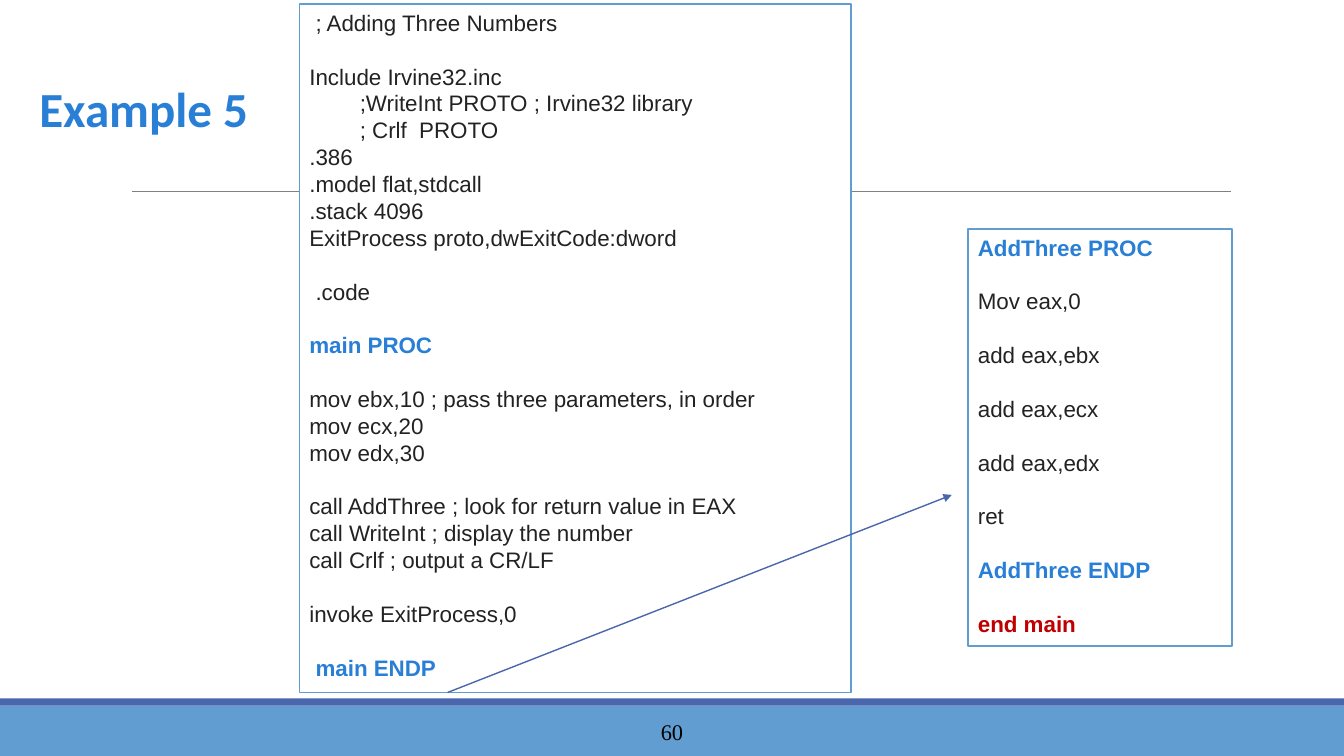
from pptx import Presentation
from pptx.dml.color import RGBColor
from pptx.enum.shapes import MSO_CONNECTOR as Link, MSO_SHAPE as Form
from pptx.enum.text import MSO_ANCHOR as Anchor, MSO_AUTO_SIZE as Fit, PP_ALIGN as Align
from pptx.oxml.ns import qn
from pptx.util import Inches, Pt
from lxml import etree

WHITE = RGBColor(0xFF, 0xFF, 0xFF)
BLACK = RGBColor(0x00, 0x00, 0x00)
INK = RGBColor(0x22, 0x22, 0x22)
BLUE = RGBColor(0x29, 0x7F, 0xD5)
SKY = RGBColor(0x62, 0x9D, 0xD1)
NAVY = RGBColor(0x4A, 0x66, 0xAC)
GRAY = RGBColor(0x80, 0x80, 0x80)
RED = RGBColor(0xC0, 0x00, 0x00)
PITCH = Pt(19.2)

# Code blocks, each a colour and its lines; one empty line parts the blocks
MAIN = [
    (INK, [" ; Adding Three Numbers"]),
    (INK, ["Include Irvine32.inc",
           "\t;WriteInt PROTO ; Irvine32 library",
           "\t; Crlf  PROTO",
           ".386",
           ".model flat,stdcall",
           ".stack 4096",
           "ExitProcess proto,dwExitCode:dword"]),
    (INK, [" .code"]),
    (BLUE, ["main PROC"]),
    (INK, ["mov ebx,10 ; pass three parameters, in order",
           "mov ecx,20",
           "mov edx,30"]),
    (INK, ["call AddThree ; look for return value in EAX",
           "call WriteInt ; display the number",
           "call Crlf ; output a CR/LF"]),
    (INK, ["invoke ExitProcess,0"]),
    (BLUE, [" main ENDP"]),
]
ADD = [
    (BLUE, ["AddThree PROC"]),
    (INK, ["Mov eax,0"]),
    (INK, ["add eax,ebx"]),
    (INK, ["add eax,ecx"]),
    (INK, ["add eax,edx"]),
    (INK, ["ret"]),
    (BLUE, ["AddThree ENDP"]),
    (RED, ["end main"]),
]


def write(par, text, size=16, font="Arial", color=INK, bold=False,
          align=Align.LEFT, pitch=None, gap=0):
    par.alignment = align
    par.space_before = gap
    if pitch:
        par.line_spacing = pitch
    run = par.add_run()
    run.text = text
    run.font.size = Pt(size)
    run.font.name = font
    run.font.bold = bold
    run.font.color.rgb = color


class Page:
    def __init__(self, deck):
        self.slide = deck.slides.add_slide(deck.slide_layouts[5])
        self.shapes = self.slide.shapes

    def title(self, text, *box, **look):
        head = self.shapes.title
        head.left, head.top, head.width, head.height = map(Inches, box)
        frame = head.text_frame
        frame.word_wrap = False
        frame.auto_size = Fit.NONE
        frame.vertical_anchor = Anchor.TOP
        write(frame.paragraphs[0], text, **look)

    def rect(self, *box, fill, edge=None):
        shape = self.shapes.add_shape(Form.RECTANGLE, *map(Inches, box))
        shape.shadow.inherit = False
        shape.fill.solid()
        shape.fill.fore_color.rgb = fill
        if edge:
            shape.line.color.rgb = edge
            shape.line.width = Pt(1.25)
        else:
            shape.line.fill.background()
        return shape

    def code(self, blocks, *box):
        frame = self.rect(*box, fill=WHITE, edge=SKY).text_frame
        frame.word_wrap = True
        frame.vertical_anchor = Anchor.TOP
        par = frame.paragraphs[0]
        for i, (color, lines) in enumerate(blocks):
            for j, line in enumerate(lines):
                if i or j:
                    par = frame.add_paragraph()
                write(par, line, color=color, bold=color != INK,
                      pitch=PITCH, gap=PITCH if i and not j else 0)

    def label(self, text, *box, **look):
        frame = self.shapes.add_textbox(*map(Inches, box)).text_frame
        frame.word_wrap = True
        frame.vertical_anchor = Anchor.MIDDLE
        write(frame.paragraphs[0], text, **look)

    def line(self, *ends, color, width, arrow=False):
        link = self.shapes.add_connector(Link.STRAIGHT, *map(Inches, ends))
        link.line.color.rgb = color
        link.line.width = Pt(width)
        if arrow:
            etree.SubElement(link.line._get_or_add_ln(), qn("a:tailEnd"), type="triangle")
        etree.SubElement(link._element.spPr, qn("a:effectLst"))


def main():
    deck = Presentation()
    deck.slide_width, deck.slide_height = Inches(13.33), Inches(7.5)
    page = Page(deck)

    # Footer bands, rule and page number
    page.rect(0, 7, 13.33, 0.5, fill=SKY)
    page.rect(0, 6.93, 13.33, 0.07, fill=NAVY)
    page.line(1.31, 1.9, 12.21, 1.9, color=GRAY, width=0.5)
    page.label("60", 4.03, 7.06, 5.27, 0.4, font="Times New Roman",
               color=BLACK, align=Align.CENTER)

    # Title
    page.title("Example 5", 0.29, 0.73, 2.29, 0.69, size=35,
               font="Calibri", color=BLUE, bold=True)

    # Code panels and the call arrow
    page.code(MAIN, 2.97, 0.04, 5.47, 6.83)
    page.code(ADD, 9.6, 2.27, 2.62, 4.14)
    page.line(4.44, 6.87, 9.44, 4.91, color=NAVY, width=1, arrow=True)

    deck.save("out.pptx")


if __name__ == "__main__":
    main()
